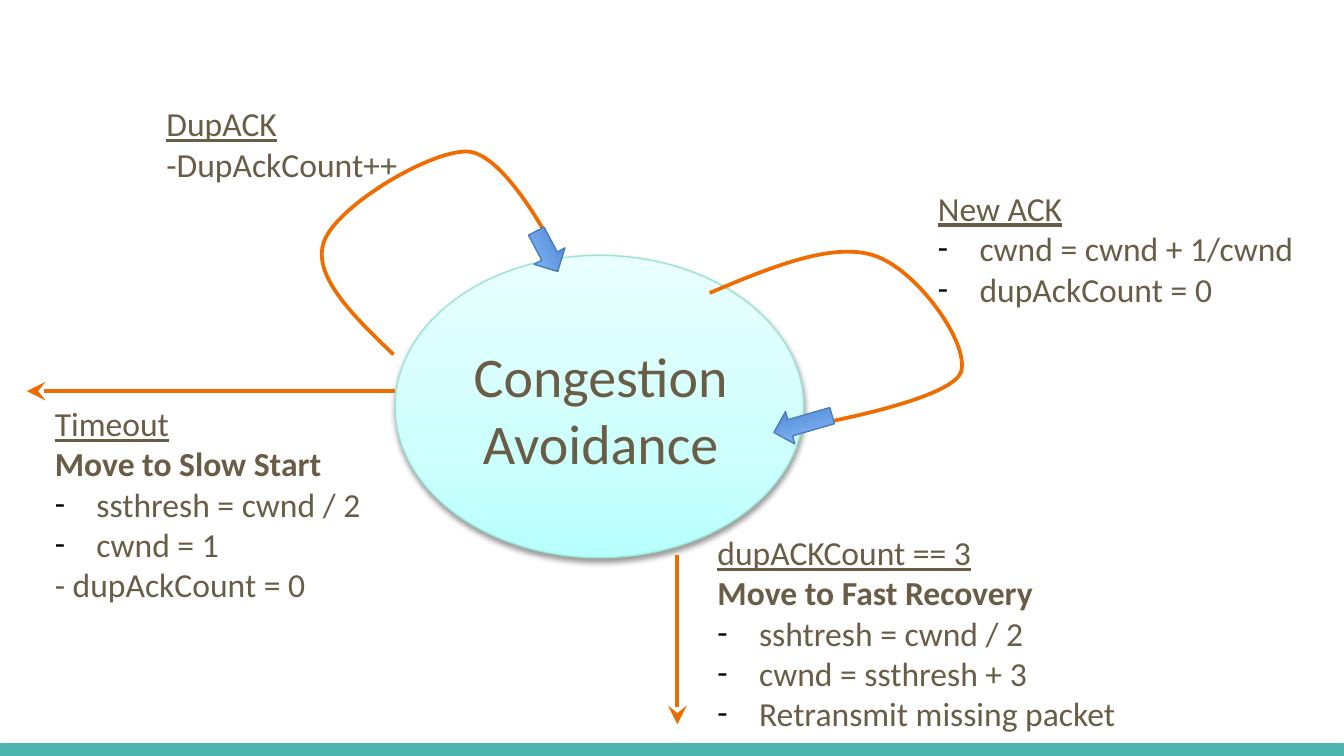
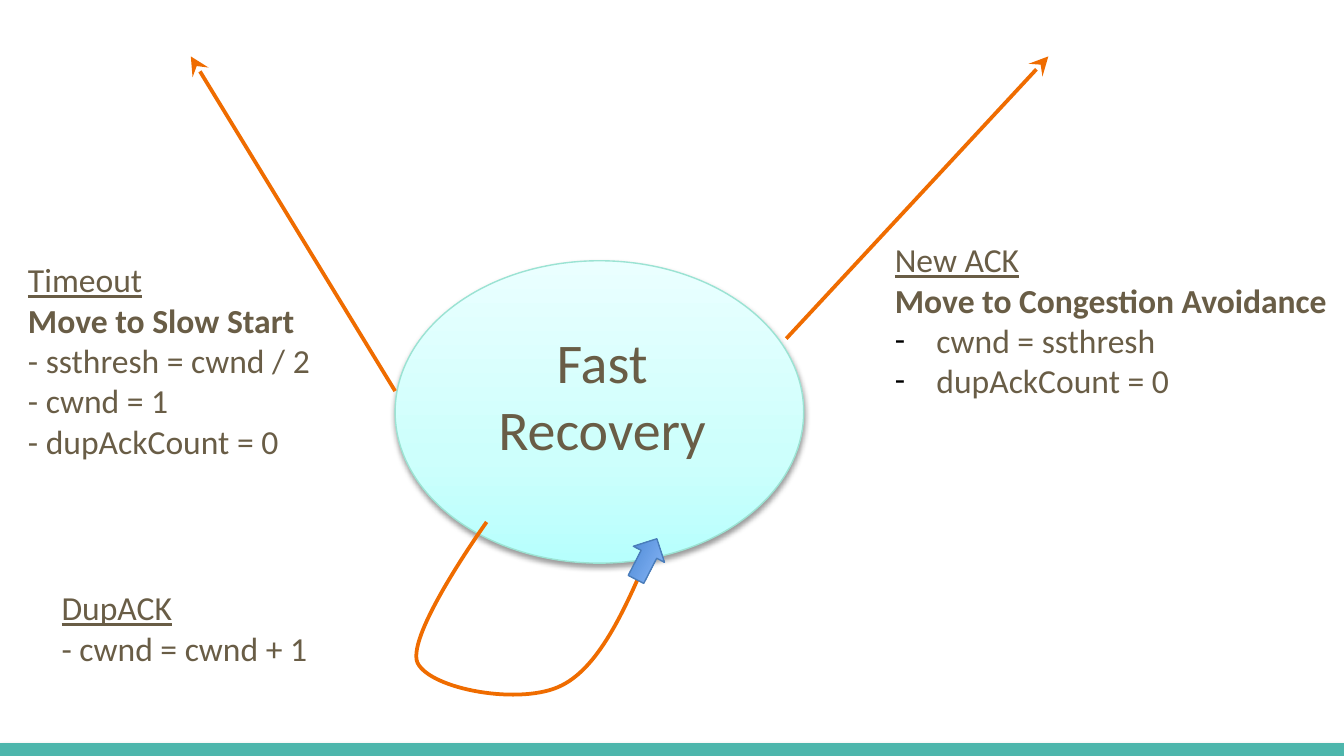
from copy import deepcopy

from lxml import etree
from pptx import Presentation
from pptx.dml.color import RGBColor
from pptx.enum.shapes import MSO_CONNECTOR, MSO_SHAPE
from pptx.enum.text import MSO_ANCHOR, PP_ALIGN
from pptx.oxml.ns import qn
from pptx.util import Inches, Pt

STRAIGHT = MSO_CONNECTOR.STRAIGHT
ELLIPSE, BLOCK_ARROW = MSO_SHAPE.OVAL, MSO_SHAPE.RIGHT_ARROW
TOP, CENTER, LEFT = MSO_ANCHOR.TOP, PP_ALIGN.CENTER, PP_ALIGN.LEFT

PAGE_WIDTH = 10
PAGE_HEIGHT = PAGE_WIDTH * 9 / 16
FONT = "Calibri"
TEXT, BULLET, ORANGE, TEAL = "695D46", "000000", "EF6C00", "4DB6AC"
STATE_EDGE, ARROW_EDGE = "9BE3D3", "4A7DBA"
STATE_STOPS = [(0, "B7FFFD"), (0.35, "CDFFFC"), (1, "EAFFFF")]
ARROW_STOPS = [(0, "3E7FCD"), (1, "96C0FF")]

# Loop outline on a 188 x 129 grid: a start, then three curves
LOOP_GRID = (188, 129)
LOOP_START = (0, 31)
LOOP_CURVES = [
    [(45, 12), (91, -7), (122, 3)],
    [(154, 13), (194, 69), (187, 90)],
    [(179, 111), (77, 129), (77, 129)],
]


def color(hex_code):
    return RGBColor.from_string(hex_code)


def add_xml(parent, tag, **attributes):
    return etree.SubElement(parent, qn(tag), attributes)


def set_line(item, hex_code, width):
    item.line.color.rgb = color(hex_code)
    item.line.width = Pt(width)


def set_gradient(shape, stops):
    """Fill from bottom to top with the given stops."""
    fill = shape.fill
    fill.gradient()
    fill.gradient_angle = 90
    stop_list = shape.element.spPr.find(".//" + qn("a:gsLst"))
    while len(stop_list) < len(stops):
        stop_list.append(deepcopy(stop_list[0]))
    for stop, (position, hex_code) in zip(fill.gradient_stops, stops):
        stop.position = position
        stop.color.rgb = color(hex_code)


def add_shadow(effects):
    shadow = add_xml(effects, "a:outerShdw", blurRad=str(Pt(3.1)),
                     dist=str(Pt(1.6)), dir="5400000", rotWithShape="0")
    black = add_xml(shadow, "a:srgbClr", val="000000")
    add_xml(black, "a:alpha", val="38000")


def add_preset(page, kind, box, stops, edge):
    shape = page.shapes.add_shape(kind, *map(Inches, box))
    shape.shadow.inherit = False
    set_gradient(shape, stops)
    set_line(shape, edge, 0.75)
    return shape


def add_line(page, start, end, hex_code, width):
    """Draw a straight line and return it with its empty effect list."""
    line = page.shapes.add_connector(STRAIGHT, *map(Inches, start + end))
    set_line(line, hex_code, width)
    return line, add_xml(line.element.spPr, "a:effectLst")


def add_transition(page, start, end):
    """Arrow that leaves this state for another one."""
    line, _ = add_line(page, start, end, ORANGE, 2)
    add_xml(line.element.spPr.find(qn("a:ln")), "a:tailEnd",
            type="stealth", w="lg", len="lg")


def add_text_box(page, box):
    frame = page.shapes.add_textbox(*map(Inches, box)).text_frame
    frame.word_wrap = True
    frame.vertical_anchor = TOP
    frame.margin_left = frame.margin_right = Inches(0.1)
    frame.margin_top = frame.margin_bottom = Inches(0.05)
    return frame


def add_span(para, text, size, bold=False, underline=False):
    span = para.add_run()
    span.text = text
    span.font.name = FONT
    span.font.size = Pt(size)
    span.font.bold = bold
    span.font.underline = underline
    span.font.color.rgb = color(TEXT)


def set_bullet(para):
    indent = Inches(0.31)
    properties = para._p.get_or_add_pPr()
    properties.set("marL", str(indent))
    properties.set("indent", str(-indent))
    add_xml(add_xml(properties, "a:buClr"), "a:srgbClr", val=BULLET)
    add_xml(properties, "a:buFont", typeface=FONT)
    add_xml(properties, "a:buChar", char="-")


def add_label(page, box, event, actions, target=None):
    """Underlined event, bold target state, then the actions.

    Actions that start with a typed dash get no bullet.
    """
    frame = add_text_box(page, box)
    para = frame.paragraphs[0]
    para.alignment = LEFT
    add_span(para, event, 18, underline=True)
    if target:
        add_span(frame.add_paragraph(), f"Move to {target}", 18, bold=True)
    for action in actions:
        para = frame.add_paragraph()
        if not action.startswith("-"):
            set_bullet(para)
        add_span(para, action, 18)


def add_state(page, top, name, name_left, name_top):
    """Ellipse with the state name placed relative to its corner."""
    left = 2.94
    ellipse = add_preset(page, ELLIPSE, (left, top, 3.04, 2.25),
                         STATE_STOPS, STATE_EDGE)
    add_shadow(ellipse.element.spPr.find(qn("a:effectLst")))
    frame = add_text_box(page, (left + name_left, top + name_top, 2.46, 0.83))
    para = frame.paragraphs[0]
    para.alignment = CENTER
    add_span(para, name, 30)


def add_point(parent, point):
    x, y = point
    add_xml(parent, "a:pt", x=str(x), y=str(y))


def add_loop(page, box, rotation=0):
    """Curve that leaves the state and comes back, scaled to its box."""
    left, top, width, height = map(Inches, box)
    columns, rows = LOOP_GRID
    builder = page.shapes.build_freeform(
        0, 0, scale=(width / columns, height / rows))
    builder.add_line_segments([LOOP_GRID], close=False)
    loop = builder.convert_to_shape(left, top)
    # Swap the diagonal for the curves
    outline = loop.element.spPr.find(".//" + qn("a:path"))
    for step in list(outline):
        outline.remove(step)
    add_point(add_xml(outline, "a:moveTo"), LOOP_START)
    for curve in LOOP_CURVES:
        step = add_xml(outline, "a:cubicBezTo")
        for point in curve:
            add_point(step, point)
    loop.shadow.inherit = False
    loop.fill.background()
    set_line(loop, ORANGE, 2)
    loop.rotation = rotation


def add_loop_head(page, box, rotation, flip=False):
    """Block arrow at the end of a loop."""
    head = add_preset(page, BLOCK_ARROW, box, ARROW_STOPS, ARROW_EDGE)
    head.rotation = rotation
    if flip:
        head.element.spPr.find(qn("a:xfrm")).set("flipH", "1")


def add_page(deck):
    """Blank white page with the teal band at the bottom."""
    page = deck.slides.add_slide(deck.slide_layouts[6])
    page.background.fill.solid()
    page.background.fill.fore_color.rgb = color("FFFFFF")
    _, effects = add_line(page, (0, 5.6), (PAGE_WIDTH, 5.6), TEAL, 10)
    add_shadow(effects)
    return page


def build_congestion_avoidance(deck):
    page = add_page(deck)
    add_state(page, 1.9, "Congestion Avoidance", 0.3, 0.59)
    # New ACK: stay here
    add_loop(page, (5.28, 1.87, 1.88, 1.29))
    add_loop_head(page, (5.75, 3.03, 0.45, 0.25), 163.9)
    add_label(page, (6.88, 1.35, 2.95, 0.76), "New ACK",
              ["cwnd = cwnd + 1/cwnd", "dupAckCount = 0"])
    # Third duplicate: down to fast recovery
    add_label(page, (5.24, 3.91, 3.23, 1.21), "dupACKCount == 3",
              ["sshtresh = cwnd / 2", "cwnd = ssthresh + 3",
               "Retransmit missing packet"], "Fast Recovery")
    add_transition(page, (5.04, 4.13), (5.04, 5.39))
    # Timeout: left to slow start
    add_label(page, (0.31, 2.95, 2.63, 1.21), "Timeout",
              ["ssthresh = cwnd / 2", "cwnd = 1", "- dupAckCount = 0"],
              "Slow Start")
    add_transition(page, (2.94, 2.91), (0.2, 2.91))
    # Duplicate ACK: stay here
    add_loop(page, (2.55, 1.01, 1.41, 1.72), 260.7)
    add_loop_head(page, (3.9, 1.74, 0.34, 0.26), 242, flip=True)
    add_label(page, (1.14, 0.72, 2.6, 0.53), "DupACK", ["-DupAckCount++"])


def build_fast_recovery(deck):
    page = add_page(deck)
    add_state(page, 1.94, "Fast Recovery", 0.31, 0.45)
    # New ACK: up to congestion avoidance
    add_label(page, (6.56, 1.73, 3.44, 0.98), "New ACK",
              ["cwnd = ssthresh", "dupAckCount = 0"], "Congestion Avoidance")
    add_transition(page, (5.85, 2.52), (7.8, 0.42))
    # Timeout: up to slow start
    add_label(page, (0.11, 1.88, 2.58, 1.21), "Timeout",
              ["- ssthresh = cwnd / 2", "- cwnd = 1", "- dupAckCount = 0"],
              "Slow Start")
    add_transition(page, (2.94, 2.91), (1.42, 0.42))
    # Duplicate ACK: stay here
    add_loop(page, (3.01, 3.82, 1.88, 1.29), 135.7)
    add_loop_head(page, (4.64, 4.03, 0.34, 0.26), 117.2, flip=True)
    add_label(page, (0.36, 4.32, 2.58, 0.53), "DupACK", ["- cwnd = cwnd + 1"])


def main():
    deck = Presentation()
    deck.slide_width = Inches(PAGE_WIDTH)
    deck.slide_height = Inches(PAGE_HEIGHT)
    build_congestion_avoidance(deck)
    build_fast_recovery(deck)
    deck.save("out.pptx")


if __name__ == "__main__":
    main()
